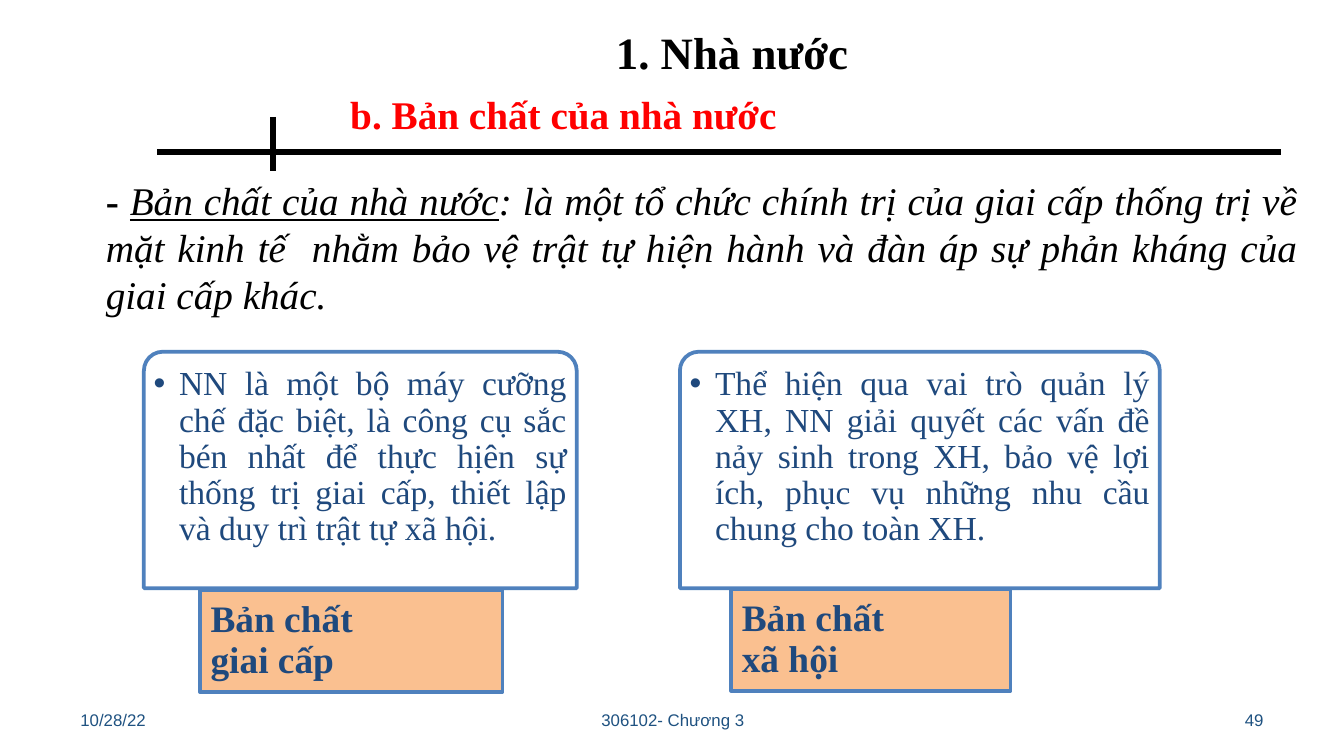
from dataclasses import dataclass

from lxml.etree import SubElement
from pptx import Presentation
from pptx.dml.color import RGBColor
from pptx.enum.shapes import MSO_CONNECTOR, MSO_SHAPE
from pptx.enum.text import MSO_ANCHOR, MSO_AUTO_SIZE, PP_ALIGN
from pptx.oxml.ns import qn
from pptx.util import Cm, Pt

BLACK = RGBColor(0x00, 0x00, 0x00)
WHITE = RGBColor(0xFF, 0xFF, 0xFF)
RED = RGBColor(0xFF, 0x00, 0x00)
NAVY = RGBColor(0x1F, 0x49, 0x7D)
BLUE = RGBColor(0x4F, 0x81, 0xBD)
PEACH = RGBColor(0xFA, 0xC0, 0x90)
FOOTER_BLUE = RGBColor(0x1F, 0x52, 0x81)

SERIF = "Times New Roman"
TITLE_FORMAT = {"name": SERIF, "size": Pt(24), "bold": True}
HEADING_FORMAT = {"name": SERIF, "size": Pt(21), "bold": True}
ITALIC_FORMAT = {"name": SERIF, "size": Pt(21), "bold": False, "italic": True}
DETAIL_FORMAT = {"name": SERIF, "size": Pt(18)}
LABEL_FORMAT = {"name": SERIF, "size": Pt(20), "bold": True}
FOOTER_FORMAT = {"name": "Arial", "size": Pt(9)}


@dataclass
class Box:
    """Left, top, width and height in centimetres."""
    left: float
    top: float
    width: float
    height: float

    def lengths(self) -> list:
        return [Cm(v) for v in (self.left, self.top, self.width, self.height)]


@dataclass
class Aspect:
    """One side of the nature of the state: a detail panel above its label."""
    detail: str
    label: str
    panel: Box
    tag: Box
    label_width: float


@dataclass
class FooterItem:
    text: str
    box: Box
    align: PP_ALIGN


def add_run(paragraph, text: str, formats: dict, color: RGBColor):
    run = paragraph.add_run()
    run.text = text
    for attribute, value in formats.items():
        setattr(run.font, attribute, value)
    run.font.color.rgb = color
    return run


def set_frame(frame, anchor, margins=(0.25, 0.13, 0.25, 0.13)) -> None:
    left, top, right, bottom = margins
    settings = {
        "word_wrap": True, "auto_size": MSO_AUTO_SIZE.NONE, "vertical_anchor": anchor,
        "margin_left": Cm(left), "margin_top": Cm(top),
        "margin_right": Cm(right), "margin_bottom": Cm(bottom),
    }
    for attribute, value in settings.items():
        setattr(frame, attribute, value)


def add_text_box(slide, box: Box, align: PP_ALIGN, anchor=MSO_ANCHOR.TOP):
    frame = slide.shapes.add_textbox(*box.lengths()).text_frame
    set_frame(frame, anchor)
    paragraph = frame.paragraphs[0]
    paragraph.alignment = align
    return paragraph


def add_rule(slide, x1: float, y1: float, x2: float, y2: float) -> None:
    rule = slide.shapes.add_connector(
        MSO_CONNECTOR.STRAIGHT, Cm(x1), Cm(y1), Cm(x2), Cm(y2))
    rule.line.color.rgb = BLACK
    rule.line.width = Pt(3)
    SubElement(rule._element.spPr, qn("a:effectLst"))


def add_block(slide, kind: MSO_SHAPE, box: Box, fill: RGBColor):
    block = slide.shapes.add_shape(kind, *box.lengths())
    block.shadow.inherit = False
    block.fill.solid()
    block.fill.fore_color.rgb = fill
    block.line.color.rgb = BLUE
    block.line.width = Pt(2)
    return block


def add_bullet(paragraph) -> None:
    properties = paragraph._p.get_or_add_pPr()
    properties.set("marL", str(Cm(0.48)))
    properties.set("indent", str(-Cm(0.48)))
    SubElement(properties, qn("a:buFont"), typeface="Arial")
    SubElement(properties, qn("a:buChar"), char="•")


def add_aspect(slide, aspect: Aspect) -> None:
    # Panel with the bulleted detail
    panel = add_block(slide, MSO_SHAPE.ROUND_2_SAME_RECTANGLE, aspect.panel, WHITE)
    panel.adjustments[0] = 0.08
    fill_color = panel._element.spPr.find(qn("a:solidFill"))[0]
    SubElement(fill_color, qn("a:alpha"), val="90000")
    set_frame(panel.text_frame, MSO_ANCHOR.TOP, (0.08, 0.18, 0.08, 0.08))
    detail = panel.text_frame.paragraphs[0]
    add_bullet(detail)
    detail.alignment = PP_ALIGN.JUSTIFY
    detail.line_spacing = 0.9
    add_run(detail, aspect.detail, DETAIL_FORMAT, NAVY)

    # Label below, kept to the left part of its rectangle
    tag = add_block(slide, MSO_SHAPE.RECTANGLE, aspect.tag, PEACH)
    right_margin = aspect.tag.width - aspect.label_width + 0.08
    set_frame(tag.text_frame, MSO_ANCHOR.MIDDLE, (0.2, 0, right_margin, 0))
    label = tag.text_frame.paragraphs[0]
    label.alignment = PP_ALIGN.LEFT
    label.line_spacing = 0.9
    add_run(label, aspect.label, LABEL_FORMAT, NAVY)


ASPECTS = [
    Aspect("NN là một bộ máy cưỡng chế đặc biệt, là công cụ sắc bén nhất để thực hịên "
           "sự thống trị giai cấp, thiết lập và duy trì trật tự xã hội.",
           "Bản chất giai cấp",
           Box(2.72, 6.65, 8.18, 4.47), Box(3.78, 11.15, 5.72, 1.93), 4.01),
    Aspect("Thể hiện qua vai trò quản lý XH, NN giải quyết các vấn đề nảy sinh "
           "trong XH, bảo vệ lợi ích, phục vụ những nhu cầu chung cho toàn XH.",
           "Bản chất xã hội",
           Box(12.85, 6.65, 9.07, 4.47), Box(13.82, 11.13, 5.28, 1.93), 3.73),
]

FOOTER = [
    FooterItem("10/28/22", Box(1.27, 13.23, 5.92, 0.76), PP_ALIGN.LEFT),
    FooterItem("306102- Chương 3", Box(8.69, 13.23, 8.05, 0.76), PP_ALIGN.CENTER),
    FooterItem("49", Box(18.21, 13.23, 5.92, 0.76), PP_ALIGN.RIGHT),
]


def main() -> None:
    presentation = Presentation()
    presentation.slide_width = Cm(25.4)
    presentation.slide_height = Cm(14.29)
    slide = presentation.slides.add_slide(presentation.slide_layouts[5])

    # Crossed rules under the headings
    add_rule(slide, 2.97, 2.87, 24.21, 2.87)
    add_rule(slide, 5.16, 2.21, 5.16, 3.23)

    # Title and section heading
    title = slide.shapes.title
    title.left, title.top, title.width, title.height = Box(6.35, 0.33, 16.03, 1.27).lengths()
    set_frame(title.text_frame, MSO_ANCHOR.TOP, (0.25, 0.13, 1.31, 0.13))
    title_line = title.text_frame.paragraphs[0]
    title_line.alignment = PP_ALIGN.CENTER
    add_run(title_line, "1. Nhà nước", TITLE_FORMAT, BLACK)
    heading = add_text_box(slide, Box(6.37, 1.57, 19.41, 1.14), PP_ALIGN.JUSTIFY)
    add_run(heading, "b. Bản chất của nhà nước", HEADING_FORMAT, RED)

    # Definition
    definition = add_text_box(slide, Box(1.75, 3.2, 23.04, 2.95), PP_ALIGN.JUSTIFY)
    add_run(definition, "- ", HEADING_FORMAT, BLACK)
    add_run(definition, "Bản chất của nhà nước", {**ITALIC_FORMAT, "underline": True}, BLACK)
    add_run(definition, ": là một tổ chức chính trị của giai cấp thống trị về mặt kinh tế  "
            "nhằm bảo vệ trật tự hiện hành và đàn áp sự phản kháng của giai cấp khác.",
            ITALIC_FORMAT, BLACK)

    # The two aspects side by side
    for aspect in ASPECTS:
        add_aspect(slide, aspect)

    # Footer
    for item in FOOTER:
        line = add_text_box(slide, item.box, item.align, MSO_ANCHOR.MIDDLE)
        add_run(line, item.text, FOOTER_FORMAT, FOOTER_BLUE)

    presentation.save("out.pptx")


if __name__ == "__main__":
    main()
